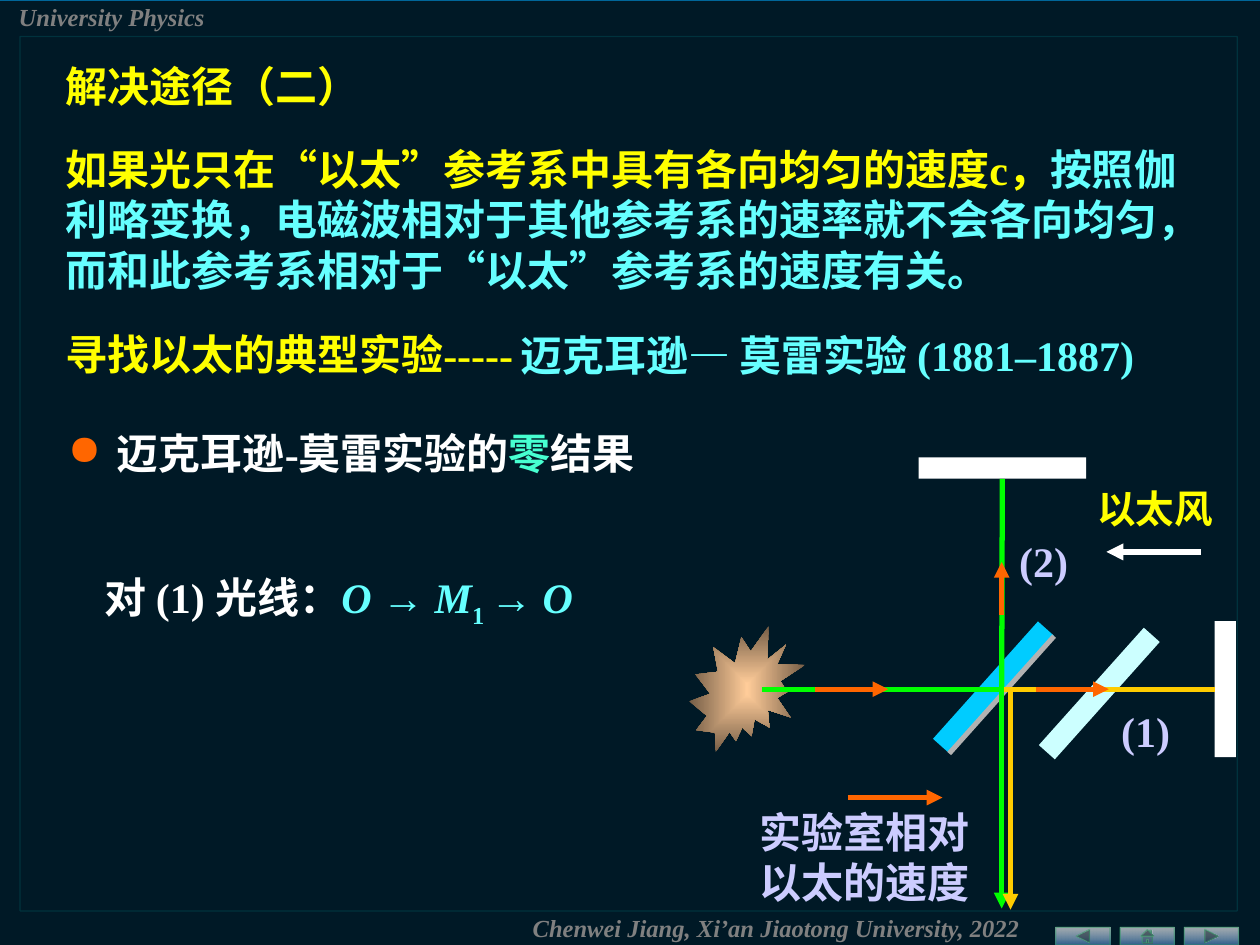
import pptx
import pptx.util
import pptx.dml.color
import pptx.enum.shapes
import pptx.enum.text
import pptx.oxml.ns
from lxml import etree

Inches = pptx.util.Inches
Pt = pptx.util.Pt
qn = pptx.oxml.ns.qn
MSO = pptx.enum.shapes.MSO_SHAPE
FONT = "Times New Roman"
C = {
    "blue": "006699", "black": "000000", "teal": "009999", "gray": "808080",
    "white": "FFFFFF", "yellow": "FFFF00", "cyan": "66FFFF", "lilac": "CCCCFF",
    "orange": "FF6600", "green": "00FF00", "gold": "FFCC00", "mint": "47FFD1",
    "splitter": "00CCFF", "coating": "B2B2B2", "plate": "CCFFFF",
    "lamp": "FFCC99", "lamp_edge": "765E47", "button": "336699", "button_line": "339966",
}


def rgb(name):
    return pptx.dml.color.RGBColor.from_string(C[name])


def sub(parent, tag, **attrs):
    return etree.SubElement(parent, qn(tag), {k: str(v) for k, v in attrs.items()})


def set_alpha(parent, *percents):
    for color, percent in zip(parent.iter(qn("a:srgbClr")), percents):
        sub(color, "a:alpha", val=percent * 1000)


def add_run(p, text, size=24, color="white", bold=True, italic=False, baseline=0):
    r = p.add_run()
    r.text = text
    r.font.name = FONT
    r.font.size = Pt(size)
    r.font.bold = bold
    r.font.italic = italic
    r.font.color.rgb = rgb(color)
    if baseline:
        r.font._element.set("baseline", str(baseline * 1000))


def write(tf, runs, wrap=True):
    tf.word_wrap = wrap
    tf.auto_size = pptx.enum.text.MSO_AUTO_SIZE.NONE
    tf.vertical_anchor = pptx.enum.text.MSO_ANCHOR.TOP
    p = tf.paragraphs[0]
    p.alignment = pptx.enum.text.PP_ALIGN.LEFT
    for text, fmt in runs:
        add_run(p, text, **fmt)
    return p


def add_text(s, box, *runs, wrap=True):
    tb = s.shapes.add_textbox(*map(Inches, box))
    return write(tb.text_frame, runs, wrap)


def add_bullet(p, char, color, indent):
    pPr = p._p.get_or_add_pPr()
    pPr.set("marL", str(Inches(indent)))
    pPr.set("indent", str(-Inches(indent)))
    sub(sub(pPr, "a:buClr"), "a:srgbClr", val=C[color])
    sub(pPr, "a:buChar", char=char)


def add_block(shapes, box, fill=None, kind=MSO.RECTANGLE, rotation=0):
    sp = shapes.add_shape(kind, *map(Inches, box))
    sp.shadow.inherit = False
    sp.rotation = rotation
    sp.line.fill.background()
    if fill:
        sp.fill.solid()
        sp.fill.fore_color.rgb = rgb(fill)
    else:
        sp.fill.background()
    return sp


def set_gradient(sp, *colors):
    sp.fill.gradient()
    sp.fill.gradient_angle = 270
    for stop, color in zip(sp.fill.gradient_stops, colors):
        stop.color.rgb = rgb(color)
    return sp._element.spPr.find(qn("a:gradFill"))


def set_outline(sp, color, width, alpha=100):
    sp.line.color.rgb = rgb(color)
    sp.line.width = Pt(width)
    set_alpha(sp._element.spPr.find(qn("a:ln")), alpha)


def add_ray(s, start, end, color, width=3, arrow=True):
    line = s.shapes.add_connector(pptx.enum.shapes.MSO_CONNECTOR.STRAIGHT,
                                  *map(Inches, start + end))
    line.line.color.rgb = rgb(color)
    line.line.width = Pt(width)
    spPr = line._element.spPr
    if arrow:
        sub(spPr.find(qn("a:ln")), "a:tailEnd", type="triangle")
    sub(spPr, "a:effectLst")
    return line


def add_frame(s):
    s.background.fill.solid()
    s.background.fill.fore_color.rgb = rgb("blue")
    veil = add_block(s.shapes, (0, 0.01, 10, 7.49), "black")
    set_alpha(veil._element.spPr, 75)
    buttons = (MSO.ACTION_BUTTON_BACK_OR_PREVIOUS, MSO.ACTION_BUTTON_HOME,
               MSO.ACTION_BUTTON_FORWARD_OR_NEXT)
    for i, kind in enumerate(buttons):
        button = add_block(s.shapes, (8.38 + 0.51 * i, 7.36, 0.43, 0.14), kind=kind)
        set_alpha(set_gradient(button, "white", "button"), 62, 89)
        set_outline(button, "button_line", 0, 52)
    set_outline(add_block(s.shapes, (0.16, 0.29, 9.66, 6.94)), "teal", 0.75, 20)
    small = dict(size=14, color="gray", italic=True)
    add_text(s, (4.13, 7.2, 5.43, 0.33), ("Chenwei Jiang, Xi’an Jiaotong University, 2022", small))
    add_text(s, (0.05, -0.03, 2.6, 0.33), ("University Physics", small))


def add_statements(s):
    yellow, cyan, white = (dict(color=c) for c in ("yellow", "cyan", "white"))
    symbol = dict(color="cyan", italic=True)
    add_text(s, (0.42, 1.09, 9.22, 1.31),
             ("如果光只在“以太”参考系中具有各向均匀的速度c，", yellow),
             ("按照伽利略变换，电磁波相对于其他参考系的速率就不会各向均匀，"
              "而和此参考系相对于“以太”参考系的速度有关。", cyan))
    add_text(s, (0.42, 2.56, 3.8, 0.5), ("寻找以太的典型实验-----", yellow))
    add_text(s, (4.03, 2.57, 5.6, 0.5), ("迈克耳逊— 莫雷实验 (1881–1887)", cyan))
    p = add_text(s, (0.44, 3.34, 4.96, 0.5), ("迈克耳逊-莫雷实验的", white),
                 ("零", dict(color="mint")), ("结果", white))
    add_bullet(p, "●", "orange", 0.39)
    add_text(s, (0.73, 4.49, 4.97, 0.5), ("对 (1) 光线：", white), ("O ", symbol),
             ("→ ", cyan), ("M", symbol), ("1 ", dict(color="cyan", baseline=-25)),
             ("→ ", cyan), ("O", symbol))


def add_interferometer(s):
    splitter = s.shapes.add_group_shape()
    add_block(splitter.shapes, (7.8, 4.83, 0.17, 1.25), "splitter", rotation=41.8)
    add_block(splitter.shapes, (7.93, 4.89, 0.04, 1.25), "coating", rotation=41.8)
    top_mirror = add_block(s.shapes, (7.29, 3.63, 1.33, 0.17), "white")
    right_mirror = add_block(s.shapes, (9.64, 4.93, 0.17, 1.08), "white")
    lamp = add_block(s.shapes, (5.47, 4.97, 0.92, 1), kind=MSO.EXPLOSION2)
    grad = set_gradient(lamp, "lamp", "lamp_edge")
    grad.remove(grad.find(qn("a:lin")))
    center = dict.fromkeys("ltrb", 50000)
    sub(sub(grad, "a:path", path="shape"), "a:fillToRect", **center)
    add_block(s.shapes, (8.64, 4.88, 0.17, 1.25), "plate", rotation=41.8)

    axis_x, axis_y = 7.95, 5.47
    up = add_ray(s, (axis_x, 3.8), (axis_x, axis_y), "green", arrow=False)
    up.begin_connect(top_mirror, 2)
    add_ray(s, (axis_x, 4.88), (axis_x, 4.46), "orange")
    add_ray(s, (axis_x, axis_y), (axis_x, 7.21), "green")
    add_ray(s, (8.02, axis_y), (8.02, 7.22), "gold")
    across = add_ray(s, (7.8, axis_y), (9.64, axis_y), "gold", arrow=False)
    across.end_connect(right_mirror, 1)
    add_ray(s, (6.73, 6.33), (7.48, 6.33), "orange")
    add_ray(s, (8.22, axis_y), (8.8, axis_y), "orange")
    add_ray(s, (6.05, axis_y), (7.97, axis_y), "green", arrow=False)
    add_ray(s, (6.47, axis_y), (7.05, axis_y), "orange")
    add_ray(s, (9.53, 4.38), (8.78, 4.38), "white", width=3.25)

    lilac = dict(color="lilac")
    add_text(s, (5.93, 6.35, 2.09, 0.91), ("实验室相对以太的速度", lilac))
    add_text(s, (8.8, 5.55, 0.59, 0.5), ("(1)", lilac), wrap=False)
    add_text(s, (7.99, 4.2, 0.59, 0.5), ("(2)", lilac), wrap=False)
    add_text(s, (8.61, 3.8, 1.39, 0.47), ("以太风", dict(size=22, color="yellow")))


def add_title(s, text):
    title = s.shapes.title
    title.left, title.top, title.width, title.height = map(Inches, (0.42, 0.43, 9.22, 0.5))
    write(title.text_frame, [(text, dict(color="yellow"))])
    title._element.getparent().append(title._element)


def main():
    prs = pptx.Presentation()
    prs.slide_width, prs.slide_height = Inches(10), Inches(7.5)
    s = prs.slides.add_slide(prs.slide_layouts[5])
    add_frame(s)
    add_interferometer(s)
    add_statements(s)
    add_title(s, "解决途径（二）")
    prs.save("out.pptx")


if __name__ == "__main__":
    main()
